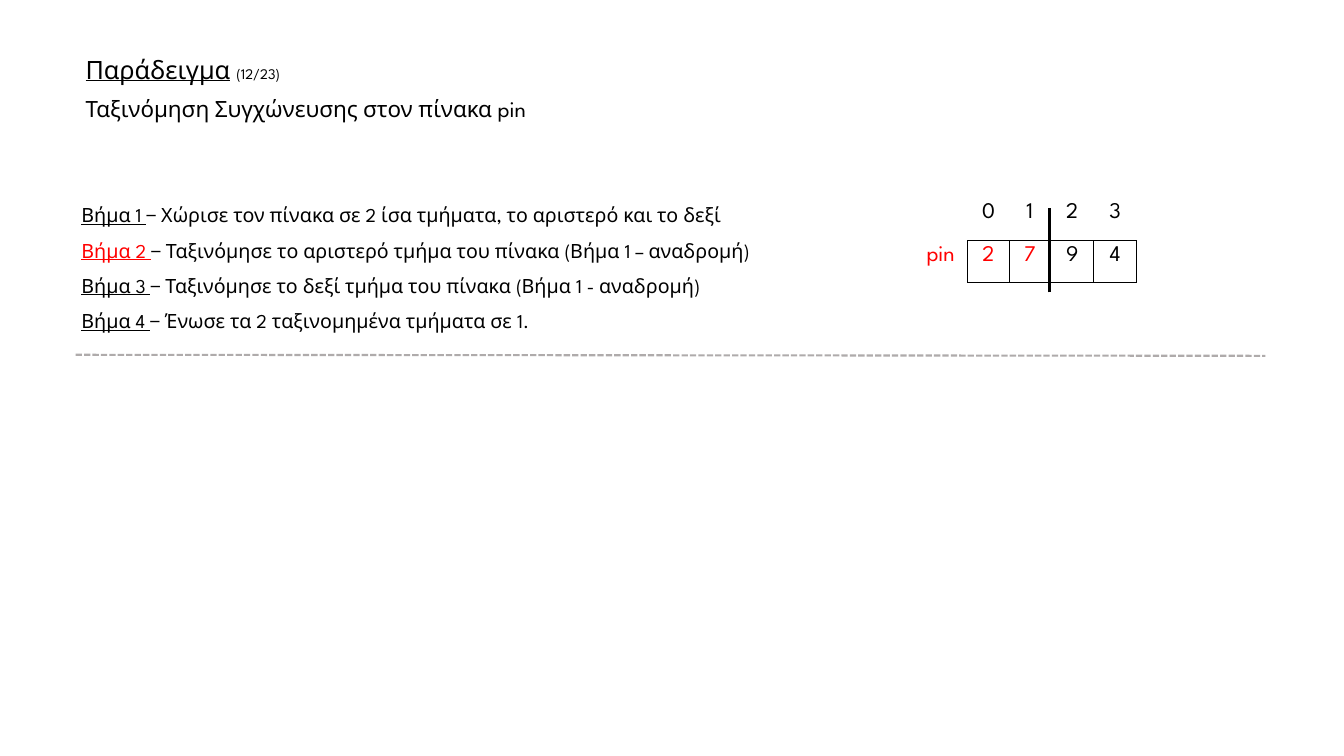
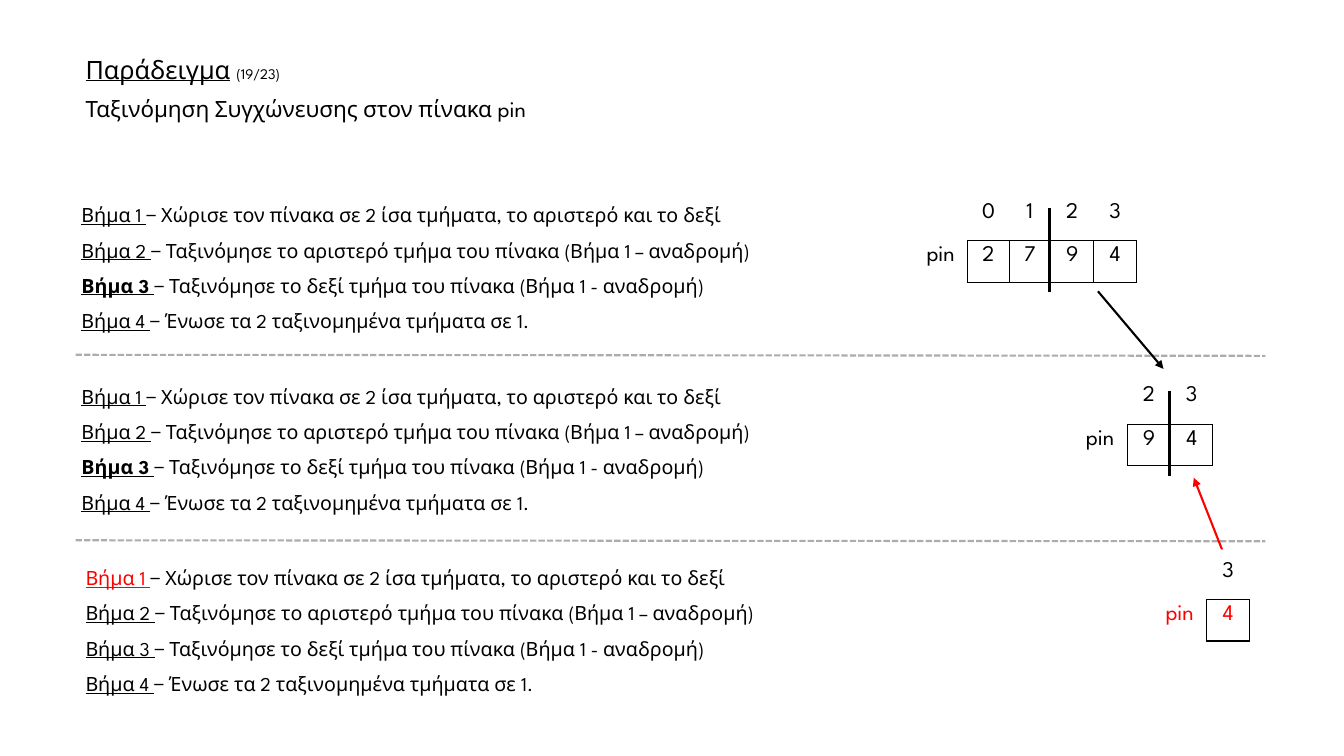
from lxml import etree
from pptx import Presentation
from pptx import util as u
from pptx.dml import color
from pptx.enum import dml, shapes, text
from pptx.oxml import ns

# Shared style
FONT = "League Spartan"
BLACK, RED, GREY = "000000", "FF0000", "AFABAB"
TEXT_WIDTH, STEPS_HEIGHT = 7.03, 1.47
LABEL_WIDTH = 0.54
INDEX_WIDTHS = [0.41, 0.41, 0.43, 0.42]  # column width of each array index
ROW_HEIGHTS = [0.43, 0.41]

# Content shared by every recursion level
PIN = [2, 7, 9, 4]
STEPS = [
    "− Χώρισε τον πίνακα σε 2 ίσα τμήματα, το αριστερό και το δεξί",
    "− Ταξινόμησε το αριστερό τμήμα του πίνακα (Βήμα 1 – αναδρομή)",
    "− Ταξινόμησε το δεξί τμήμα του πίνακα (Βήμα 1 - αναδρομή)",
    "− Ένωσε τα 2 ταξινομημένα τμήματα σε 1.",
]


def rgb(value):
    return color.RGBColor.from_string(value)


def add_run(paragraph, words, size, ink=BLACK, underline=False, bold=False):
    run = paragraph.add_run()
    run.text = words
    font = run.font
    font.name, font.size = FONT, u.Pt(size)
    font.underline, font.bold = underline, bold
    font.color.rgb = rgb(ink)


def add_text_frame(slide, left, top, width, height):
    box = slide.shapes.add_textbox(*map(u.Inches, (left, top, width, height)))
    box.text_frame.word_wrap = True
    return box.text_frame


def add_title(slide, page):
    frame = add_text_frame(slide, 0.75, 0.52, 10.79, 0.77)
    heading, subtitle = frame.paragraphs[0], frame.add_paragraph()
    for line in (heading, subtitle):
        line.line_spacing = 0.9
        line.space_before = u.Pt(10)
    add_run(heading, "Παράδειγμα", 18, underline=True)
    add_run(heading, " ", 18)
    add_run(heading, f"({page}/23)", 10.5)
    add_run(subtitle, "Ταξινόμηση Συγχώνευσης στον πίνακα pin", 16)


def add_steps(slide, left, top, current, ink=BLACK, bold=False):
    """List the four steps, marking the current one by colour or weight."""
    frame = add_text_frame(slide, left, top, TEXT_WIDTH, STEPS_HEIGHT)
    for number, step in enumerate(STEPS, 1):
        line = frame.paragraphs[0] if number == 1 else frame.add_paragraph()
        line.line_spacing = 1.5
        active = number == current
        add_run(line, f"Βήμα {number} ", 14, ink if active else BLACK,
                underline=True, bold=bold and active)
        add_run(line, step, 14)


def set_borders(cell, sides):
    """Draw 1 pt black borders on the given sides (of "LRTB") only."""
    properties = cell._tc.get_or_add_tcPr()
    for position, side in enumerate("LRTB"):
        edge = etree.Element(ns.qn(f"a:ln{side}"), w=str(u.Pt(1)))
        if side in sides:
            fill = etree.SubElement(edge, ns.qn("a:solidFill"))
            etree.SubElement(fill, ns.qn("a:srgbClr"), val=BLACK)
        else:
            etree.SubElement(edge, ns.qn("a:noFill"))
        properties.insert(position, edge)


def fill_cell(cell, words, ink, sides):
    cell.fill.background()
    set_borders(cell, sides)
    paragraph = cell.text_frame.paragraphs[0]
    paragraph.alignment = text.PP_ALIGN.CENTER
    if words:
        add_run(paragraph, words, 16, ink)


def add_array(slide, left, top, indices, red=()):
    """Show part of pin under its indices, split in half if it can be."""
    widths = [LABEL_WIDTH] + [INDEX_WIDTHS[i] for i in indices]
    frame = slide.shapes.add_table(
        2, len(widths),
        *map(u.Inches, (left, top, sum(widths), sum(ROW_HEIGHTS))))
    table = frame.table
    table.first_row = table.horz_banding = False
    for column, width in zip(table.columns, widths):
        column.width = u.Inches(width)
    for row, height in zip(table.rows, ROW_HEIGHTS):
        row.height = u.Inches(height)

    fill_cell(table.cell(0, 0), "", BLACK, "")
    fill_cell(table.cell(1, 0), "pin", RED if red else BLACK, "R")
    for column, index in enumerate(indices, 1):
        ink = RED if index in red else BLACK
        fill_cell(table.cell(0, column), str(index), BLACK, "B")
        fill_cell(table.cell(1, column), str(PIN[index]), ink, "LRTB")

    if len(indices) > 1:
        middle = left + sum(widths[:1 + len(indices) // 2]) - 0.01
        add_line(slide, (middle, top + 0.94), (middle, top + 0.1), BLACK, 2.25)


def add_line(slide, start, end, ink, weight, dash=None, arrow=False):
    connector = slide.shapes.add_connector(
        shapes.MSO_CONNECTOR.STRAIGHT, *map(u.Inches, (*start, *end)))
    connector.line.color.rgb = rgb(ink)
    connector.line.width = u.Pt(weight)
    if dash:
        connector.line.dash_style = dash
    properties = connector._element.spPr
    if arrow:
        etree.SubElement(properties.find(ns.qn("a:ln")), ns.qn("a:tailEnd"),
                         type="triangle")
    etree.SubElement(properties, ns.qn("a:effectLst"))


def add_separator(slide, top):
    add_line(slide, (0.75, top), (12.55, top + 0.01), GREY, 1.5,
             dash=dml.MSO_LINE.SQUARE_DOT)


def add_example_slide(deck, page):
    """Start a slide with its title and the line under the first level."""
    slide = deck.slides.add_slide(deck.slide_layouts[6])
    add_title(slide, page)
    add_separator(slide, 3.52)
    return slide


def build_left_half_sorted(deck):
    slide = add_example_slide(deck, 12)
    add_array(slide, 9.06, 1.96, range(4), red=(0, 1))
    add_steps(slide, 0.71, 1.85, current=2, ink=RED)


def build_right_half_recursion(deck):
    slide = add_example_slide(deck, 19)
    add_separator(slide, 5.36)

    # Whole array, then its right half
    add_array(slide, 9.06, 1.96, range(4))
    add_steps(slide, 0.71, 1.85, current=3, bold=True)
    add_array(slide, 10.64, 3.78, range(2, 4))
    add_steps(slide, 0.71, 3.65, current=3, bold=True)

    # Single element, already sorted
    add_array(slide, 11.43, 5.52, [3], red=(3,))
    add_steps(slide, 0.75, 5.45, current=1, ink=RED)

    # Call down to the half, return up from the element
    add_line(slide, (10.89, 2.89), (11.54, 3.66), BLACK, 1.5, arrow=True)
    add_line(slide, (12.12, 5.45), (11.84, 4.74), RED, 1.5, arrow=True)


def main():
    deck = Presentation()
    deck.slide_width, deck.slide_height = u.Inches(13.33), u.Inches(7.5)
    build_left_half_sorted(deck)
    build_right_half_recursion(deck)
    deck.save("out.pptx")


if __name__ == "__main__":
    main()
